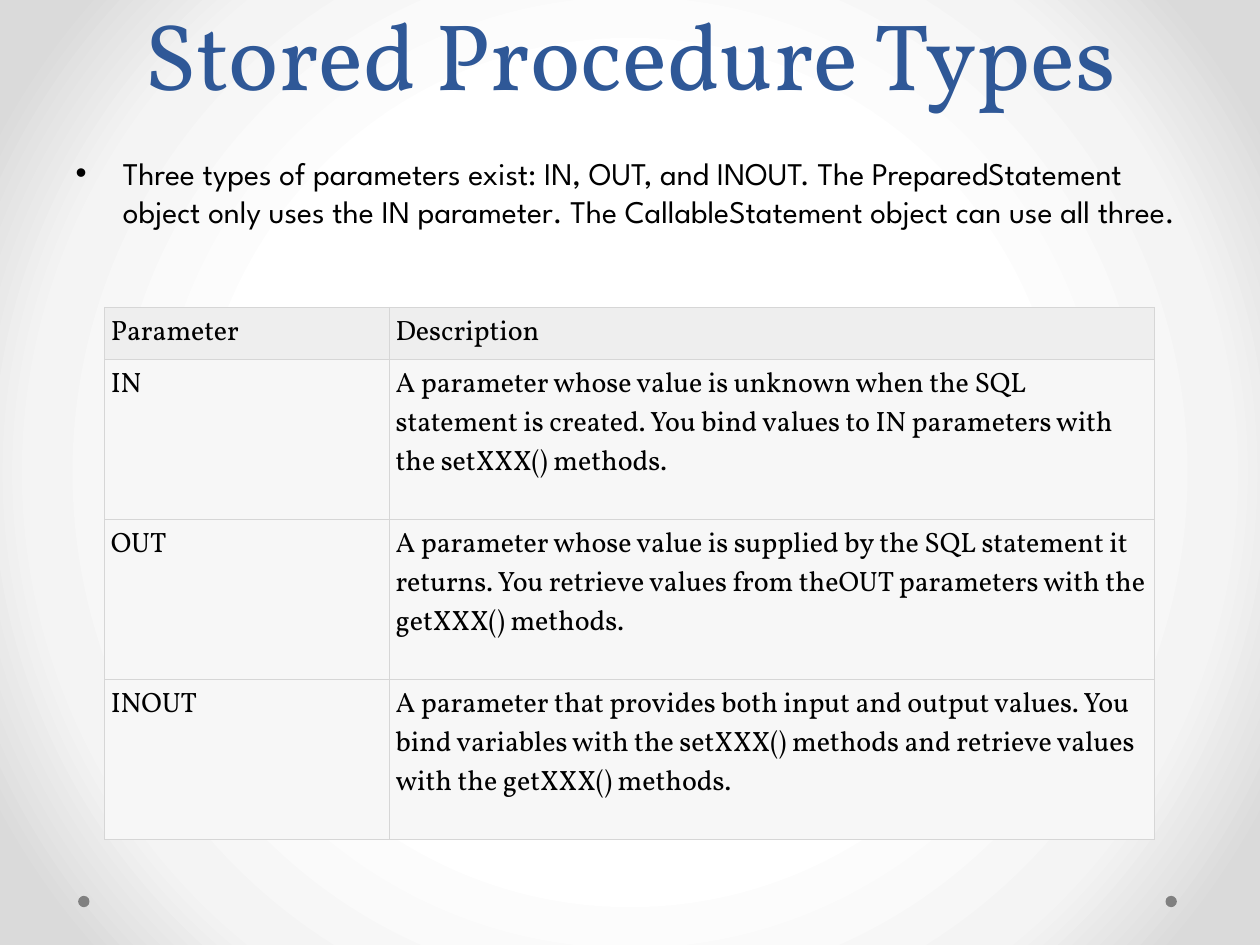
from lxml import etree
from pptx import Presentation
from pptx import util as u
from pptx.dml.color import RGBColor
from pptx.enum import shapes, text
from pptx.oxml import parse_xml
from pptx.oxml.ns import nsdecls, qn

WIDTH, HEIGHT = 10, 7.5
SERIF, SANS = "Vollkorn", "League Spartan"
BACKDROP_STOPS = [(50, "FFFFFF"), (76, "F4F4F4"), (92, "DADADA")]
PARAMETERS = [
    ("Parameter", "Description"),
    ("IN", "A parameter whose value is unknown when the SQL statement is created. "
           "You bind values to IN parameters with the setXXX() methods."),
    ("OUT", "A parameter whose value is supplied by the SQL statement it returns. "
            "You retrieve values from theOUT parameters with the getXXX() methods."),
    ("INOUT", "A parameter that provides both input and output values. "
              "You bind variables with the setXXX() methods and retrieve values "
              "with the getXXX() methods."),
]


def color(value):
    return RGBColor.from_string(value)


def box(left, top, width, height):
    return [u.Inches(length) for length in (left, top, width, height)]


def style(paragraph, face, size, ink):
    font = paragraph.font
    font.name, font.size = face, u.Pt(size)
    font.color.rgb = color(ink)


def paint_backdrop(slide):
    slide.background.fill.solid()
    properties = slide.background._cSld.find(".//" + qn("p:bgPr"))
    stops = "".join(
        f'<a:gs pos="{share * 1000}"><a:srgbClr val="{shade}"/></a:gs>'
        for share, shade in BACKDROP_STOPS
    )
    gradient = parse_xml(
        f'<a:gradFill {nsdecls("a")} rotWithShape="1"><a:gsLst>{stops}</a:gsLst>'
        '<a:path path="circle"><a:fillToRect l="50000" t="50000" r="50000" b="50000"/>'
        "</a:path></a:gradFill>"
    )
    properties.replace(properties.find(qn("a:solidFill")), gradient)


def add_dot(slide, left):
    dot = slide.shapes.add_shape(shapes.MSO_SHAPE.OVAL, *box(left, 7.11, 0.09, 0.09))
    dot.shadow.inherit = False
    dot.fill.solid()
    dot.fill.fore_color.rgb = color("808080")
    dot.line.fill.background()


def fill_placeholder(placeholder, area, words, face, size, ink):
    placeholder.left, placeholder.top, placeholder.width, placeholder.height = box(*area)
    frame = placeholder.text_frame
    frame.text = words
    frame.auto_size = text.MSO_AUTO_SIZE.NONE
    style(frame.paragraphs[0], face, size, ink)
    return frame


def add_borders(cell, shade, points):
    properties = cell._tc.get_or_add_tcPr()
    for position, side in enumerate(("lnL", "lnR", "lnT", "lnB")):
        border = etree.Element(qn(f"a:{side}"), w=str(u.Pt(points)))
        fill = etree.SubElement(border, qn("a:solidFill"))
        etree.SubElement(fill, qn("a:srgbClr"), val=shade)
        properties.insert(position, border)


def format_cell(cell, words, shade):
    cell.text = words
    cell.margin_left = cell.margin_right = u.Inches(0.05)
    cell.margin_top = cell.margin_bottom = u.Inches(0.05)
    cell.fill.solid()
    cell.fill.fore_color.rgb = color(shade)
    style(cell.text_frame.paragraphs[0], SERIF, 16, "000000")
    add_borders(cell, "D6D6D6", 0.75)


def add_parameter_table(slide):
    table = slide.shapes.add_table(
        len(PARAMETERS), 2, *box(0.83, 2.44, 8.33, 4.17)
    ).table
    table.first_row = table.horz_banding = False
    for column, width in zip(table.columns, (2.26, 6.07)):
        column.width = u.Inches(width)
    for index, entries in enumerate(PARAMETERS):
        table.rows[index].height = u.Inches(1.27 if index else 0.37)
        for column, words in enumerate(entries):
            format_cell(table.cell(index, column), words, "F7F7F7" if index else "EEEEEE")


def main():
    deck = Presentation()
    deck.slide_width, deck.slide_height = u.Inches(WIDTH), u.Inches(HEIGHT)
    slide = deck.slides.add_slide(deck.slide_layouts[1])
    paint_backdrop(slide)
    for left in (9.25, 0.62):
        add_dot(slide, left)
    title, body = slide.placeholders
    heading = fill_placeholder(
        title, (0.5, 0, 9, 0.92), "Stored Procedure Types", SERIF, 54, "2F5897"
    )
    heading.vertical_anchor = text.MSO_ANCHOR.BOTTOM
    heading.paragraphs[0].line_spacing = u.Pt(58)
    fill_placeholder(
        body, (0.5, 1.17, 9, 5.45),
        "Three types of parameters exist: IN, OUT, and INOUT. The PreparedStatement "
        "object only uses the IN parameter. The CallableStatement object can use all three.",
        SANS, 18, "000000",
    )
    add_parameter_table(slide)
    deck.save("out.pptx")


if __name__ == "__main__":
    main()
